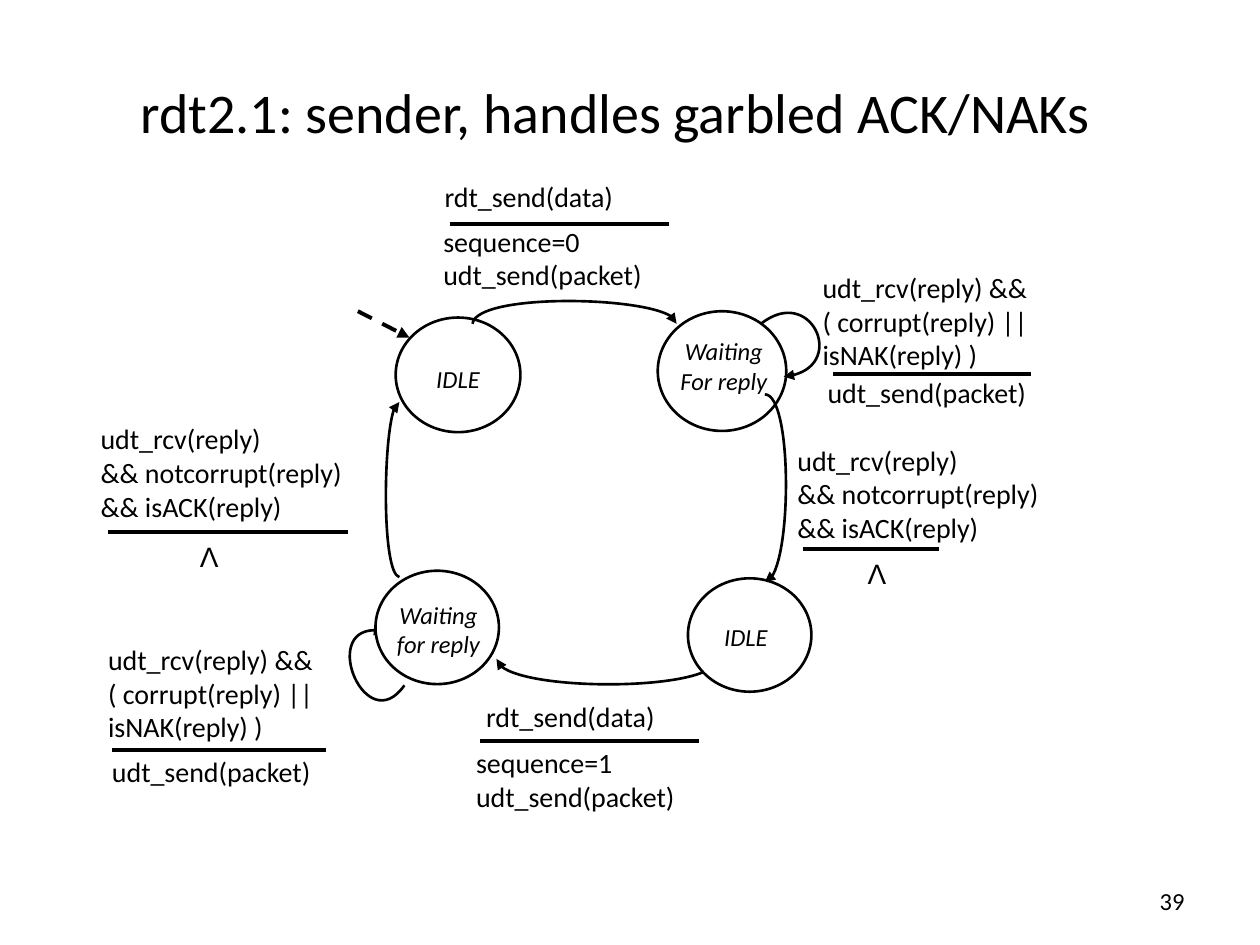
from lxml.etree import SubElement
from pptx import Presentation
from pptx.dml.color import RGBColor
from pptx.enum.dml import MSO_LINE_DASH_STYLE as Dash
from pptx.enum.shapes import MSO_CONNECTOR as Link, MSO_SHAPE as Shape
from pptx.enum.text import MSO_ANCHOR as Anchor, PP_ALIGN as Align
from pptx.oxml.ns import qn
from pptx.util import Cm, Pt

# Content: places are left, top, width, height in inches
TITLE = ("rdt2.1: sender, handles garbled ACK/NAKs", (0.36, 0.26, 9.05, 1.25))
NUMBER = ("39", (7.17, 6.95, 2.33, 0.4))

# States: lines, circle, label box
TOP_STATES = [
    (["IDLE"], (3.14, 2.52, 0.99, 0.91), (3.04, 2.84, 1.19, 0.67)),
    (["Waiting", "For reply"], (5.22, 2.47, 1.02, 0.95), (5.15, 2.62, 1.19, 0.71)),
]
BOTTOM_STATES = [
    (["IDLE"], (5.46, 4.59, 0.98, 0.9), (5.31, 4.89, 1.22, 0.67)),
    (["Waiting", "for reply"], (2.98, 4.53, 0.98, 0.9), (2.91, 4.71, 1.14, 0.67)),
]

# Arcs: start, two control points, end (with the arrowhead)
ARCS = [
    [(3.75, 2.57), (3.78, 2.33), (5.37, 2.35), (5.37, 2.57)],
    [(6.04, 2.57), (6.43, 2.26), (6.75, 2.94), (6.22, 2.99)],
    [(6.07, 3.13), (6.28, 3.13), (6.29, 4.59), (6.07, 4.62)],
    [(5.69, 5.23), (5.69, 5.48), (3.97, 5.5), (3.94, 5.23)],
    [(3.21, 5.44), (2.91, 5.87), (2.5, 4.91), (3.05, 5.01)],
    [(3.17, 4.58), (3.03, 4.55), (3.04, 3.19), (3.17, 3.19)],
]
ENTRY = ((2.84, 2.47), (3.25, 2.68))

SEND = ["rdt_send(data)"]
RESEND = ["udt_send(packet)"]
GARBLED = ["udt_rcv(reply) &&", "( corrupt(reply) ||", "isNAK(reply) )"]
ACKED = ["udt_rcv(reply)", "&& notcorrupt(reply)", "&& isACK(reply)"]
NOTHING = ["Λ"]

# Transitions: event, its box, rule (left, right, height), action, its box
TRANSITIONS = [
    (SEND, (3.43, 1.38, 2.31, 0.33), (3.57, 5.31, 1.78),
     ["sequence=0", *RESEND], (3.42, 1.73, 4.04, 0.44)),
    (GARBLED, (6.43, 2.1, 2.8, 0.62), (6.61, 8.18, 2.97),
     RESEND, (6.47, 2.93, 2.47, 0.44)),
    (ACKED, (6.23, 3.47, 3.28, 0.62), (6.37, 7.45, 4.36),
     NOTHING, (6.78, 4.37, 0.36, 0.37)),
    (SEND, (3.76, 5.5, 2.61, 0.31), (3.81, 5.55, 5.88),
     ["sequence=1", *RESEND], (3.68, 5.87, 4.12, 0.44)),
    (GARBLED, (0.76, 5.05, 2.2, 0.62), (0.89, 2.59, 5.95),
     RESEND, (0.79, 5.94, 2.12, 0.3)),
    (ACKED, (0.7, 3.3, 2.31, 0.62), (0.86, 2.76, 4.22),
     NOTHING, (1.48, 4.23, 0.36, 0.37)),
]

THEME = {
    "ink": RGBColor(0, 0, 0),
    "paper": RGBColor(255, 255, 255),
    "thin": Pt(1.5),
    "thick": Pt(2.25),
    "title": {"name": "Calibri", "size": Pt(32)},
    "number": {"name": "Calibri", "size": Pt(14)},
    "state": {"name": "Calibri", "size": Pt(14), "italic": True},
    "label": {"name": "Calibri", "size": Pt(16)},
    "symbol": {"name": "Arial", "size": Pt(16)},
}


def lengths(values):
    return [Cm(value * 2.54) for value in values]


def write(box, lines, style, align=Align.LEFT, anchor=Anchor.TOP, wrap=True):
    frame = box.text_frame
    frame.word_wrap = wrap
    frame.vertical_anchor = anchor
    for index, line in enumerate(lines):
        para = frame.add_paragraph() if index else frame.paragraphs[0]
        para.alignment = align
        span = para.add_run()
        span.text = line
        for name, value in THEME[style].items():
            setattr(span.font, name, value)
        span.font.color.rgb = THEME["ink"]


def add_text(page, lines, place, style, **layout):
    box = page.shapes.add_textbox(*lengths(place))
    write(box, lines, style, **layout)
    return box


def ink_line(shape, width, arrow=False):
    shape.line.color.rgb = THEME["ink"]
    shape.line.width = THEME[width]
    if arrow:
        SubElement(shape.line._get_or_add_ln(), qn("a:tailEnd"), type="triangle")


def add_line(page, start, end):
    line = page.shapes.add_connector(Link.STRAIGHT, *lengths(start + end))
    ink_line(line, "thick")
    SubElement(line._element.spPr, qn("a:effectLst"))
    return line


def add_state(page, lines, circle_place, label_place):
    circle = page.shapes.add_shape(Shape.OVAL, *lengths(circle_place))
    circle.shadow.inherit = False
    circle.fill.solid()
    circle.fill.fore_color.rgb = THEME["paper"]
    ink_line(circle, "thin")
    label = add_text(page, lines, label_place, "state", align=Align.CENTER)
    page.shapes.add_group_shape([circle, label])


def add_arc(page, points):
    start, *rest = [lengths(point) for point in points]
    builder = page.shapes.build_freeform(*start)
    builder.add_line_segments(rest, close=False)
    arc = builder.convert_to_shape()
    arc.shadow.inherit = False
    arc.fill.background()
    ink_line(arc, "thin", arrow=True)
    # Turn the three segments into one Bézier curve
    outline = next(arc._element.iter(qn("a:path")))
    curve = SubElement(outline, qn("a:cubicBezTo"))
    for segment in outline.findall(qn("a:lnTo")):
        curve.append(segment[0])
        outline.remove(segment)


def add_transition(page, event, event_place, rule, action, action_place):
    left, right, height = rule
    add_text(page, event, event_place, "label")
    add_line(page, (left, height), (right, height))
    if action is NOTHING:
        add_text(page, action, action_place, "symbol", align=Align.CENTER, wrap=False)
    else:
        add_text(page, action, action_place, "label")


def main():
    deck = Presentation()
    deck.slide_width, deck.slide_height = lengths((10, 7.5))
    page = deck.slides.add_slide(deck.slide_layouts[5])

    # Title and page number
    text, place = TITLE
    title = page.shapes.title
    title.left, title.top, title.width, title.height = lengths(place)
    write(title, [text], "title", align=Align.CENTER, anchor=Anchor.MIDDLE)
    text, place = NUMBER
    add_text(page, [text], place, "number", align=Align.RIGHT, anchor=Anchor.MIDDLE)

    # State machine: the lower circles cover the ends of the arcs
    for state in TOP_STATES:
        add_state(page, *state)
    for points in ARCS:
        add_arc(page, points)
    for state in BOTTOM_STATES:
        add_state(page, *state)

    # Dashed entry arrow
    entry = add_line(page, *ENTRY)
    entry.line.dash_style = Dash.DASH
    ink_line(entry, "thick", arrow=True)

    # Events above the rules, actions below
    for transition in TRANSITIONS:
        add_transition(page, *transition)

    deck.save("out.pptx")


if __name__ == "__main__":
    main()
